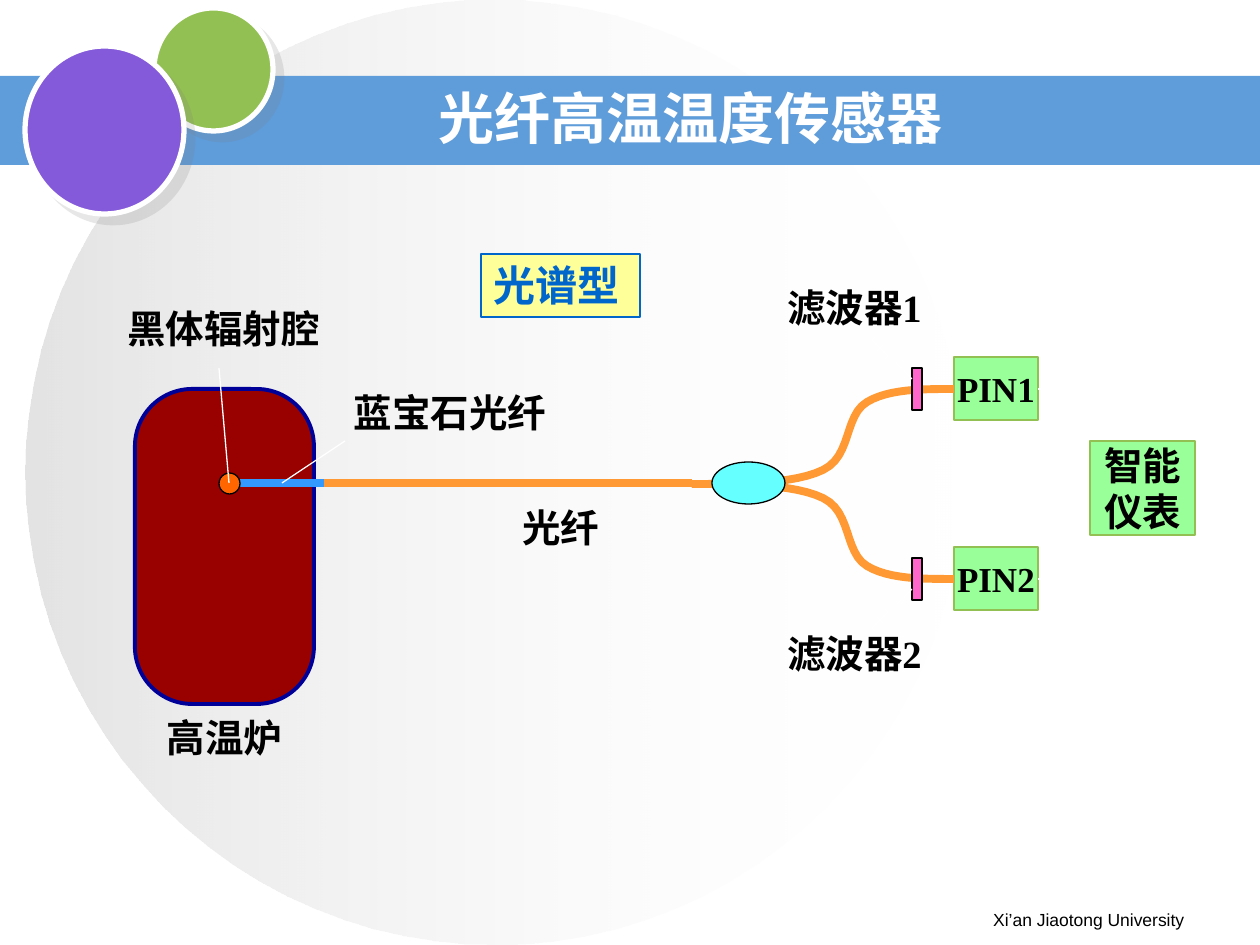
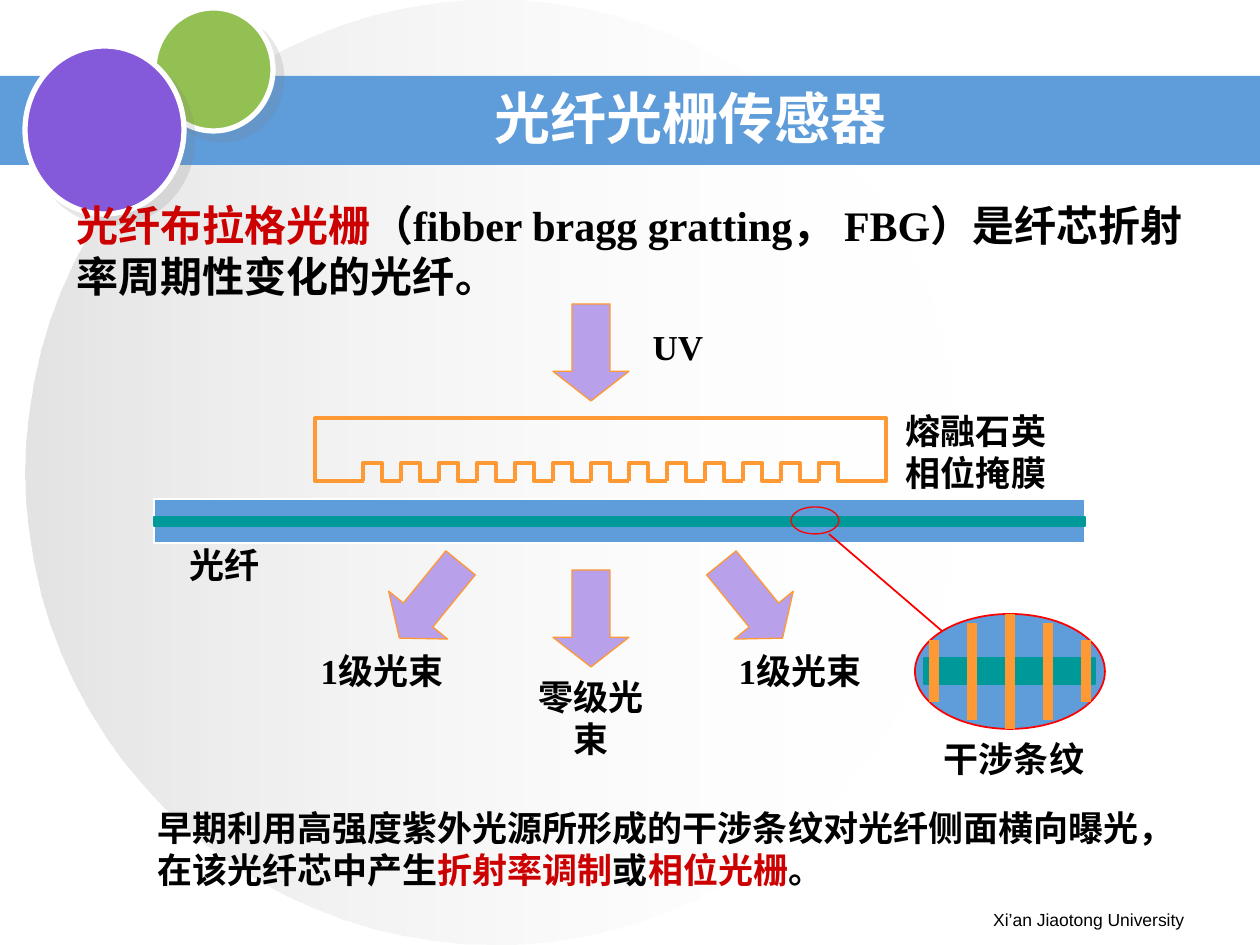
from dataclasses import dataclass

from lxml.etree import SubElement
from pptx import Presentation
from pptx.dml.color import RGBColor
from pptx.enum.shapes import MSO_CONNECTOR, MSO_SHAPE
from pptx.enum.text import MSO_ANCHOR, PP_ALIGN
from pptx.oxml.ns import qn
from pptx.util import Emu, Pt

PX = 914400 / 126


@dataclass(frozen=True)
class Theme:
    sans: str = "Arial"
    serif: str = "Times New Roman"
    title_size: int = 32
    lead_size: int = 24
    label_size: int = 22
    small_size: int = 20
    footer_size: int = 10
    black: str = "000000"
    white: str = "FFFFFF"
    gray: str = "C0C0C0"
    shadow: str = "808080"
    blue: str = "5E9CDA"
    green: str = "93C052"
    purple: str = "855ADA"
    lilac: str = "B9A0EA"
    orange: str = "FF9933"
    teal: str = "009999"
    red: str = "FF0000"
    accent: str = "CC0000"
    furnace: str = "990000"
    furnace_edge: str = "000099"
    cavity: str = "FF6600"
    sapphire: str = "3399FF"
    coupler: str = "66FFFF"
    device: str = "99FF99"
    filter: str = "FF66CC"
    tag: str = "FFFF99"
    tag_ink: str = "0066CC"


T = Theme()


@dataclass(frozen=True)
class Box:
    x: int
    y: int
    w: int
    h: int

    def inner(self, x, y, w, h):
        """Box given relative to this one's top left corner."""
        return Box(self.x + x, self.y + y, w, h)

    def point(self, x, y):
        return self.x + x, self.y + y

    def emu(self):
        return [emu(v) for v in (self.x, self.y, self.w, self.h)]


def emu(px):
    return Emu(round(px * PX))


def rgb(color):
    return RGBColor.from_string(color)


def stroke(line, color, weight):
    line.color.rgb = rgb(color)
    line.width = Pt(weight)


def add_figure(slide, kind, box, fill=None, line=None, weight=0.75):
    figure = slide.shapes.add_shape(kind, *box.emu())
    figure.shadow.inherit = False
    if fill:
        figure.fill.solid()
        figure.fill.fore_color.rgb = rgb(fill)
    else:
        figure.fill.background()
    if line:
        stroke(figure.line, line, weight)
    else:
        figure.line.fill.background()
    return figure


def add_line(slide, start, end, color, weight=0.75):
    ends = [emu(v) for v in (*start, *end)]
    connector = slide.shapes.add_connector(MSO_CONNECTOR.STRAIGHT, *ends)
    stroke(connector.line, color, weight)
    SubElement(connector._element.spPr, qn("a:effectLst"))


def add_polyline(slide, points, color, weight):
    first, *rest = [(emu(x), emu(y)) for x, y in points]
    builder = slide.shapes.build_freeform(*first)
    builder.add_line_segments(rest, close=False)
    outline = builder.convert_to_shape()
    outline.shadow.inherit = False
    outline.fill.background()
    stroke(outline.line, color, weight)


def bezier(controls, steps=12):
    """Points along a chain of cubic curves that share their end points."""
    points = [controls[0]]
    for i in range(0, len(controls) - 1, 3):
        segment = controls[i:i + 4]
        for step in range(1, steps + 1):
            t = step / steps
            weights = ((1 - t) ** 3, 3 * t * (1 - t) ** 2, 3 * t * t * (1 - t), t ** 3)
            points.append(tuple(sum(w * p[axis] for w, p in zip(weights, segment))
                                for axis in (0, 1)))
    return points


def write(shape, text, size=T.label_size, color=T.black, font=T.serif, bold=True,
          align=PP_ALIGN.CENTER, anchor=MSO_ANCHOR.TOP, inset=(0, 0)):
    """Fill a shape with text; parts between asterisks get the accent colour."""
    frame = shape.text_frame
    frame.word_wrap = True
    frame.vertical_anchor = anchor
    frame.margin_left = frame.margin_right = emu(inset[0])
    frame.margin_top = frame.margin_bottom = emu(inset[1])
    for row, line in enumerate(text.split("\n")):
        paragraph = frame.add_paragraph() if row else frame.paragraphs[0]
        paragraph.alignment = align
        for part, piece in enumerate(line.split("*")):
            if not piece:
                continue
            run = paragraph.add_run()
            run.text = piece
            run.font.name = font
            run.font.size = Pt(size)
            run.font.bold = bold
            run.font.color.rgb = rgb(T.accent if part % 2 else color)


def add_label(slide, box, text, **style):
    write(slide.shapes.add_textbox(*box.emu()), text, **style)


def add_device(slide, box, text, size):
    device = add_figure(slide, MSO_SHAPE.RECTANGLE, box, T.device, T.green)
    write(device, text, size=size, anchor=MSO_ANCHOR.MIDDLE)


def add_backdrop(slide):
    disc = add_figure(slide, MSO_SHAPE.OVAL, Box(25, 0, 938, 945))
    disc.fill.gradient()
    disc.fill.gradient_angle = 180
    for stop, color in zip(disc.fill.gradient_stops, (T.white, T.gray)):
        stop.color.rgb = rgb(color)
    for tint, opacity in zip(disc._element.iter(qn("a:srgbClr")), (0, 44)):
        SubElement(tint, qn("a:alpha"), val=str(opacity * 1000))


def add_bubble(slide, box, color):
    bubble = add_figure(slide, MSO_SHAPE.OVAL, box, color, T.white, 3)
    effects = bubble._element.spPr.find(qn("a:effectLst"))
    shadow = SubElement(effects, qn("a:outerShdw"), blurRad="0", dist=str(Pt(7.1)),
                        dir=str(45 * 60000), algn="ctr", rotWithShape="0")
    tint = SubElement(shadow, qn("a:srgbClr"), val=T.shadow)
    SubElement(tint, qn("a:alpha"), val="19000")


def add_base_slide(deck, title):
    slide = deck.slides.add_slide(deck.slide_layouts[6])
    add_backdrop(slide)
    add_figure(slide, MSO_SHAPE.RECTANGLE, Box(0, 76, 1260, 89), T.blue)
    add_bubble(slide, Box(154, 8, 119, 123), T.green)
    add_bubble(slide, Box(25, 46, 159, 168), T.purple)
    add_label(slide, Box(903, 903, 294, 34), "Xi’an Jiaotong University",
              size=T.footer_size, font=T.sans, bold=False,
              align=PP_ALIGN.RIGHT, inset=(13, 6))
    add_label(slide, Box(276, 84, 830, 67), title, size=T.title_size, color=T.white,
              font=T.sans, anchor=MSO_ANCHOR.MIDDLE)
    return slide


def draw_furnace(slide, box):
    body = add_figure(slide, MSO_SHAPE.ROUNDED_RECTANGLE, box,
                      T.furnace, T.furnace_edge, 2.25)
    body.adjustments[0] = 0.32
    add_label(slide, box.inner(0, box.h + 10, box.w, 53), "高温炉")
    add_label(slide, box.inner(-22, -84, 221, 53), "黑体辐射腔")


def draw_channel(slide, box, number, side, tap):
    """One detector arm starting at the box's top left; side is -1 up, 1 down."""
    arm = [(262, 95), (229, 95), (197, 95), (175, 82), (152, 68),
           (160, 28), (131, 14), (102, 0), (50, 0), (0, 0)]
    level = side * 95
    add_device(slide, box.inner(262, level - 32, 84, 63), f"PIN{number}", T.small_size)
    add_polyline(slide, bezier([box.point(x, side * y) for x, y in arm]), T.orange, 4.5)
    wire = [(346, level), (366, level), (366, tap), (398, tap)]
    add_polyline(slide, [box.point(*p) for p in wire], T.white, 1)
    add_figure(slide, MSO_SHAPE.RECTANGLE, box.inner(220, level - 21, 10, 42),
               T.filter, T.black)
    add_line(slide, box.point(177, side * 147), box.point(220, side * 105), T.white)
    add_label(slide, box.inner(73, side * 173 - 27, 179, 53), f"滤波器{number}")


def draw_fiber_path(slide, box):
    """Fiber from the black-body cavity to the coupler along the box's middle."""
    middle = box.h // 2
    joint = box.point(95, middle)
    cavity = box.point(0, middle)
    add_line(slide, box.point(box.w, middle), joint, T.orange, 4.5)
    add_line(slide, joint, cavity, T.sapphire, 4.5)
    add_figure(slide, MSO_SHAPE.OVAL, box.inner(box.w + 20, 0, 73, box.h),
               T.coupler, T.black)
    add_figure(slide, MSO_SHAPE.OVAL, box.inner(-10, middle - 10, 21, 21),
               T.cavity, T.black)
    add_label(slide, box.inner(242, 42, 179, 53), "光纤")
    add_label(slide, box.inner(116, -73, 210, 53), "蓝宝石光纤")
    add_line(slide, box.point(53, middle), box.point(116, -21), T.white)
    add_line(slide, cavity, box.point(-10, -94), T.white)


def draw_mask(slide, box, teeth=13, pitch=38, depth=18):
    first, last = 49, 532
    for left in range(48, 48 + teeth * pitch, pitch):
        tooth = [(left, box.h), (left, box.h - depth), (left + pitch // 2, box.h - depth),
                 (left + pitch // 2, box.h), (left + pitch, box.h)]
        add_polyline(slide, [box.point(*p) for p in tooth], T.orange, 2.25)
    frame = [(first, box.h), (0, box.h), (0, 0), (box.w, 0), (box.w, box.h), (last, box.h)]
    add_polyline(slide, [box.point(*p) for p in frame], T.orange, 2.25)
    add_label(slide, box.inner(box.w + 19, -9, 142, 79), "熔融石英相位掩膜",
              size=T.small_size)


def draw_beam(slide, box, angle=0):
    beam = add_figure(slide, MSO_SHAPE.DOWN_ARROW, box, T.lilac, T.orange)
    beam.adjustments[0] = 0.5
    beam.adjustments[1] = 0.39
    beam.rotation = angle


def draw_beams(slide, box):
    """Incoming UV beam at the top and the three diffracted beams below."""
    center = (box.w - 76) // 2
    draw_beam(slide, box.inner(center, 0, 76, 97))
    add_label(slide, box.inner(325, 21, 76, 44), "UV", size=T.small_size)
    beams = [(-161, 248, 39.1, 0, 345, "1级光束"),
             (0, 266, 0, 209, 371, "零级光束"),
             (161, 248, 320.9, 418, 345, "1级光束")]
    for shift, top, angle, label_left, label_top, name in beams:
        draw_beam(slide, box.inner(center + shift, top, 76, 97), angle)
        add_label(slide, box.inner(label_left, label_top, 134, 44), name,
                  size=T.small_size)


def draw_fiber(slide, box):
    add_figure(slide, MSO_SHAPE.RECTANGLE, box, T.blue, T.white)
    add_figure(slide, MSO_SHAPE.RECTANGLE, box.inner(0, 18, box.w, 9), T.teal, T.teal)
    add_figure(slide, MSO_SHAPE.OVAL, box.inner(637, 8, 48, 27), line=T.red)
    add_label(slide, box.inner(0, box.h, 142, 44), "光纤", size=T.small_size)


def draw_fringes(slide, box, pitch=38):
    add_figure(slide, MSO_SHAPE.OVAL, box, T.blue, T.red, 1)
    add_figure(slide, MSO_SHAPE.RECTANGLE, box.inner(9, 44, 171, 26), T.teal, T.teal)
    for i, height in enumerate((62, 97, 115, 97, 62), start=-2):
        x = box.w // 2 + i * pitch
        top = (box.h - height) // 2
        add_line(slide, box.point(x, top), box.point(x, top + height), T.orange, 6)
    add_line(slide, box.point(-86, -80), box.point(27, 17), T.red, 1)
    add_label(slide, box.inner(28, box.h + 8, 142, 44), "干涉条纹", size=T.small_size)


def build_temperature_slide(deck):
    slide = add_base_slide(deck, "光纤高温温度传感器")
    draw_furnace(slide, Box(135, 389, 179, 315))
    arms = Box(692, 484, 398, 0)
    draw_channel(slide, arms, 1, -1, -11)
    draw_channel(slide, arms, 2, 1, 20)
    draw_fiber_path(slide, Box(229, 462, 463, 42))
    add_device(slide, Box(1090, 441, 105, 94), "智能\n仪表", T.label_size)
    tag = add_figure(slide, MSO_SHAPE.RECTANGLE, Box(481, 254, 159, 63), T.tag, T.tag_ink)
    write(tag, "光谱型", size=T.lead_size, color=T.tag_ink, font=T.sans,
          align=PP_ALIGN.LEFT, inset=(13, 6))


def build_grating_slide(deck):
    slide = add_base_slide(deck, "光纤光栅传感器")
    passage = dict(align=PP_ALIGN.LEFT, inset=(13, 6))
    add_label(slide, Box(64, 194, 1139, 129),
              "*光纤布拉格光栅*（fibber bragg gratting， FBG）是纤芯折射率周期性变化的光纤。",
              size=T.lead_size, **passage)
    draw_mask(slide, Box(315, 418, 571, 63))
    draw_beams(slide, Box(315, 304, 552, 415))
    draw_fiber(slide, Box(154, 499, 931, 44))
    draw_fringes(slide, Box(915, 614, 190, 115))
    add_label(slide, Box(144, 800, 1012, 97),
              "早期利用高强度紫外光源所形成的干涉条纹对光纤侧面横向曝光，"
              "在该光纤芯中产生*折射率调制*或*相位光栅*。",
              size=T.small_size, font=T.sans, **passage)


def main():
    deck = Presentation()
    deck.slide_width, deck.slide_height = emu(1260), emu(945)
    build_temperature_slide(deck)
    build_grating_slide(deck)
    deck.save("out.pptx")


if __name__ == "__main__":
    main()
